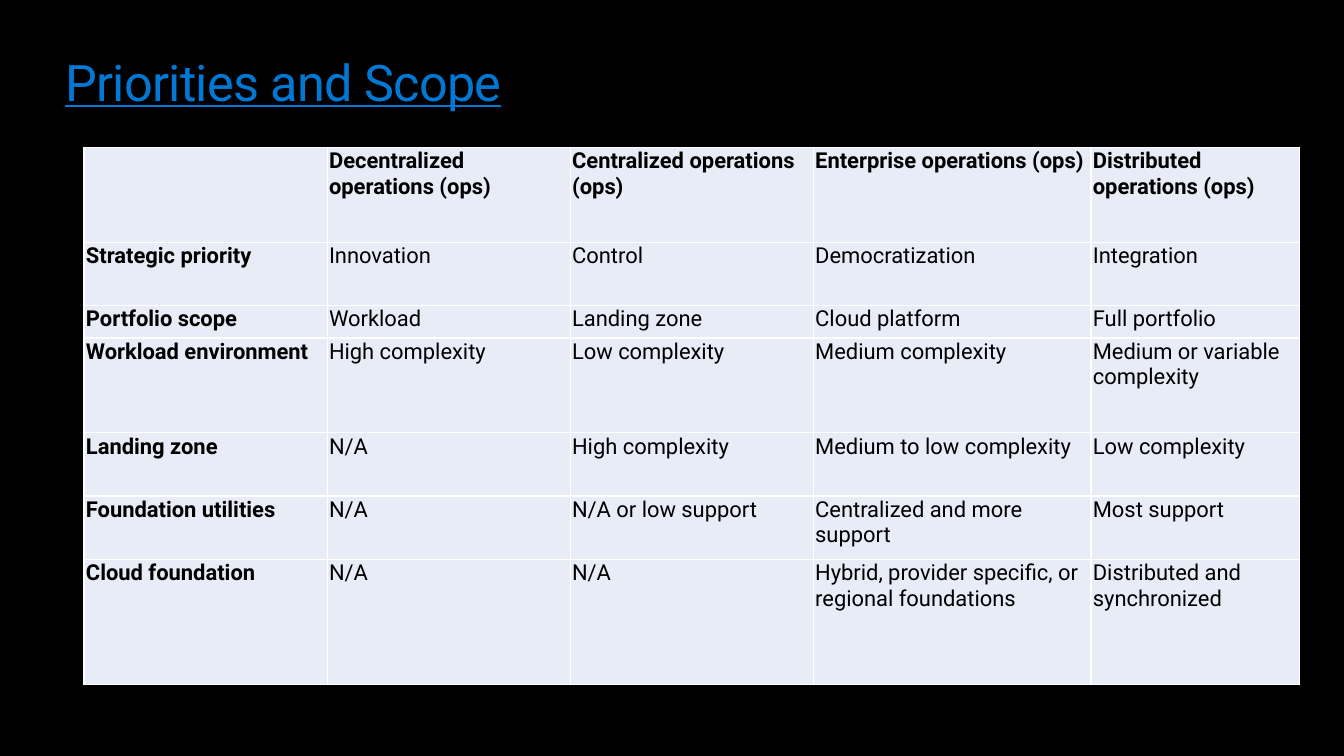
from lxml import etree
from pptx import Presentation
from pptx import util as u
from pptx.dml.color import RGBColor
from pptx.enum import text
from pptx.oxml.ns import qn


def rgb(value):
    return RGBColor.from_string(value)


def add_border(tcPr, side):
    ln = etree.SubElement(tcPr, qn("a:" + side), w=str(u.Pt(1)))
    fill = etree.SubElement(ln, qn("a:solidFill"))
    etree.SubElement(fill, qn("a:srgbClr"), val="FFFFFF")


prs = Presentation()
prs.slide_width, prs.slide_height = u.Inches(13.6), u.Inches(7.65)
s = prs.slides.add_slide(prs.slide_layouts[5])
s.background.fill.solid()
s.background.fill.fore_color.rgb = rgb("000000")

# Title
title = s.shapes.title
title.left, title.top = u.Inches(0.66), u.Inches(0.51)
title.width, title.height = u.Inches(12.29), u.Inches(0.62)
tf = title.text_frame
tf.margin_left = tf.margin_top = tf.margin_right = tf.margin_bottom = 0
tf.vertical_anchor = text.MSO_ANCHOR.MIDDLE
tf.auto_size = text.MSO_AUTO_SIZE.NONE
p = tf.paragraphs[0]
p.alignment = text.PP_ALIGN.LEFT
r = p.add_run()
r.text = "Priorities and Scope"
r.font.name, r.font.size = "Roboto", u.Pt(36.7)
r.font.underline = True
r.font.color.rgb = rgb("0078D4")
r.font._element.set("spc", "-50")

# Operating model comparison
rows = [
    ["", "Decentralized operations (ops)", "Centralized operations (ops)",
     "Enterprise operations (ops)", "Distributed operations (ops)"],
    ["Strategic priority", "Innovation", "Control", "Democratization", "Integration"],
    ["Portfolio scope", "Workload", "Landing zone", "Cloud platform", "Full portfolio"],
    ["Workload environment", "High complexity", "Low complexity",
     "Medium complexity", "Medium or variable complexity"],
    ["Landing zone", "N/A", "High complexity", "Medium to low complexity", "Low complexity"],
    ["Foundation utilities", "N/A", "N/A or low support",
     "Centralized and more support", "Most support"],
    ["Cloud foundation", "N/A", "N/A",
     "Hybrid, provider specific, or regional foundations", "Distributed and synchronized"],
]
col_widths = [2.46, 2.46, 2.46, 2.81, 2.11]
row_heights = [0.96, 0.64, 0.33, 0.96, 0.64, 0.64, 1.27]

table = s.shapes.add_table(len(rows), len(col_widths), u.Inches(0.85), u.Inches(1.49),
                           u.Inches(12.29), u.Inches(5.44)).table
table.horz_banding = False
for column, width in zip(table.columns, col_widths):
    column.width = u.Inches(width)
for row, height in zip(table.rows, row_heights):
    row.height = u.Inches(height)

for i, row in enumerate(rows):
    for j, label in enumerate(row):
        cell = table.cell(i, j)
        cell.margin_left = cell.margin_right = u.Inches(0.02)
        cell.margin_top = cell.margin_bottom = u.Inches(0.01)
        # Borders come before the fill in the cell properties
        for side in ("lnL", "lnR", "lnT", "lnB"):
            add_border(cell._tc.get_or_add_tcPr(), side)
        cell.fill.solid()
        cell.fill.fore_color.rgb = rgb("E7ECF7")
        if label:
            r = cell.text_frame.paragraphs[0].add_run()
            r.text = label
            r.font.name, r.font.size = "Roboto", u.Pt(16)
            r.font.bold = i == 0 or j == 0
            r.font.color.rgb = rgb("000000")

prs.save("out.pptx")
